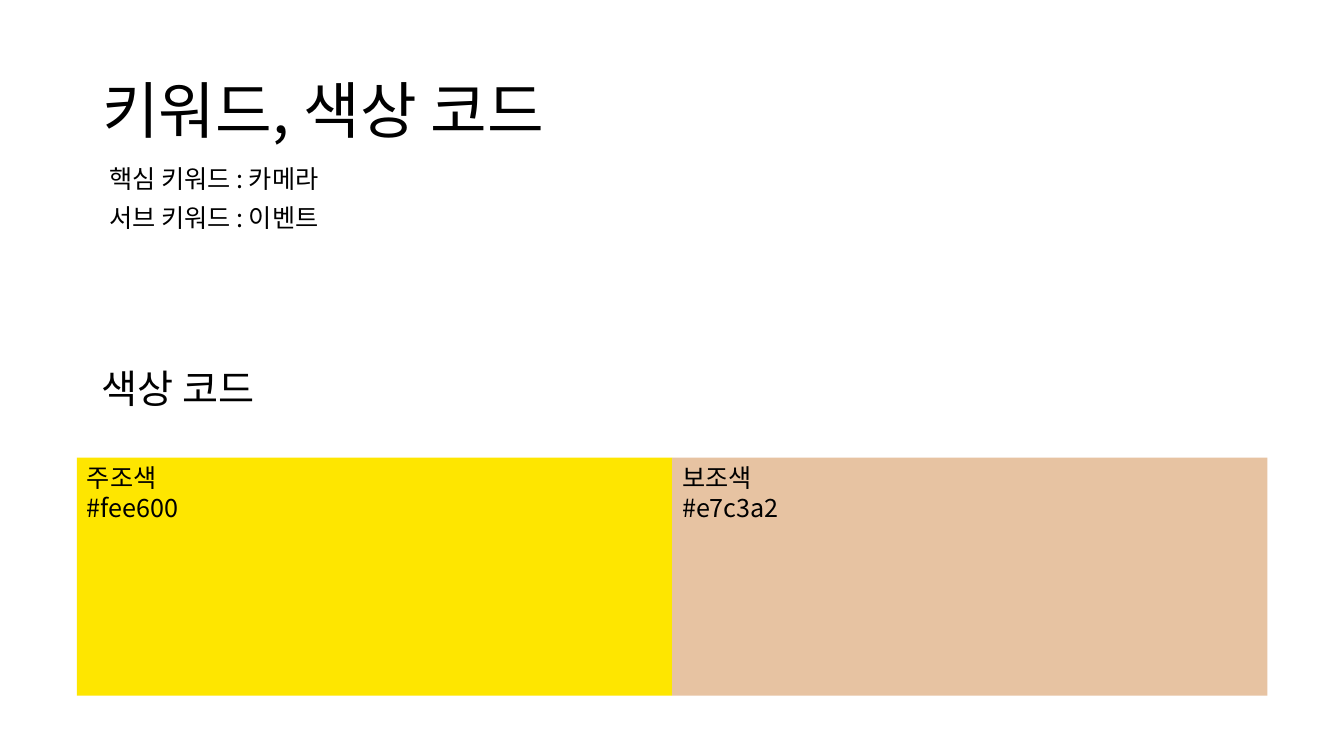
from dataclasses import dataclass

import lxml.etree
import pptx
import pptx.dml.color
import pptx.enum.shapes
import pptx.enum.text
import pptx.oxml.ns
import pptx.util

Cm = pptx.util.Cm
Anchor = pptx.enum.text.MSO_ANCHOR


@dataclass(frozen=True)
class Theme:
    font: str = "Noto Sans CJK KR"
    ink: str = "000000"
    main_color: str = "FEE600"
    sub_color: str = "E7C3A2"
    title_size: int = 44
    heading_size: int = 28
    body_size: int = 18


THEME = Theme()


def color(code):
    return pptx.dml.color.RGBColor.from_string(code)


def add_text(page, box, lines, size, wrap=False, anchor=Anchor.TOP, spacing=None):
    """Write one paragraph per line in a text box; box is left, top, width, height in cm."""
    frame = page.shapes.add_textbox(*map(Cm, box)).text_frame
    frame.word_wrap = wrap
    frame.vertical_anchor = anchor
    for index, line in enumerate(lines):
        para = frame.add_paragraph() if index else frame.paragraphs[0]
        para.line_spacing = spacing
        span = para.add_run()
        span.text = line
        span.font.size = pptx.util.Pt(size)
        span.font.name = THEME.font
        span.font.color.rgb = color(THEME.ink)
        east_asian = lxml.etree.SubElement(
            span.font._element, pptx.oxml.ns.qn("a:ea"))
        east_asian.set("typeface", THEME.font)


def add_title(page, box):
    add_text(page, box, ["키워드, 색상 코드"], THEME.title_size,
             wrap=True, anchor=Anchor.MIDDLE, spacing=0.9)


def add_keywords(page, box):
    left, top, width, height = box
    keywords = ["핵심 키워드 : 카메라", "서브 키워드 : 이벤트"]
    pitch = height / len(keywords)
    for row, keyword in enumerate(keywords):
        add_text(page, (left, top + row * pitch, width, pitch), [keyword], THEME.body_size)


def add_heading(page, box):
    add_text(page, box, ["색상 코드"], THEME.heading_size)


def add_swatches(page, box):
    left, top, width, height = box
    swatches = [("주조색", THEME.main_color), ("보조색", THEME.sub_color)]
    swatch_width = width / len(swatches)
    for column, (name, code) in enumerate(swatches):
        x = left + column * swatch_width
        swatch = page.shapes.add_shape(
            pptx.enum.shapes.MSO_SHAPE.RECTANGLE,
            Cm(x), Cm(top), Cm(swatch_width), Cm(height))
        swatch.shadow.inherit = False
        swatch.fill.solid()
        swatch.fill.fore_color.rgb = color(code)
        swatch.line.fill.background()
        add_text(page, (x, top, 2.95, 1.8), [name, f"#{code.lower()}"], THEME.body_size)


def main():
    deck = pptx.Presentation()
    deck.slide_width, deck.slide_height = Cm(33.87), Cm(19.05)
    page = deck.slides.add_slide(deck.slide_layouts[6])
    add_title(page, (2.33, 1.01, 29.21, 3.68))
    add_keywords(page, (2.5, 3.98, 6.5, 2))
    add_heading(page, (2.31, 9.06, 5.2, 1.45))
    add_swatches(page, (1.94, 11.53, 30, 6))
    deck.save("out.pptx")


if __name__ == "__main__":
    main()
